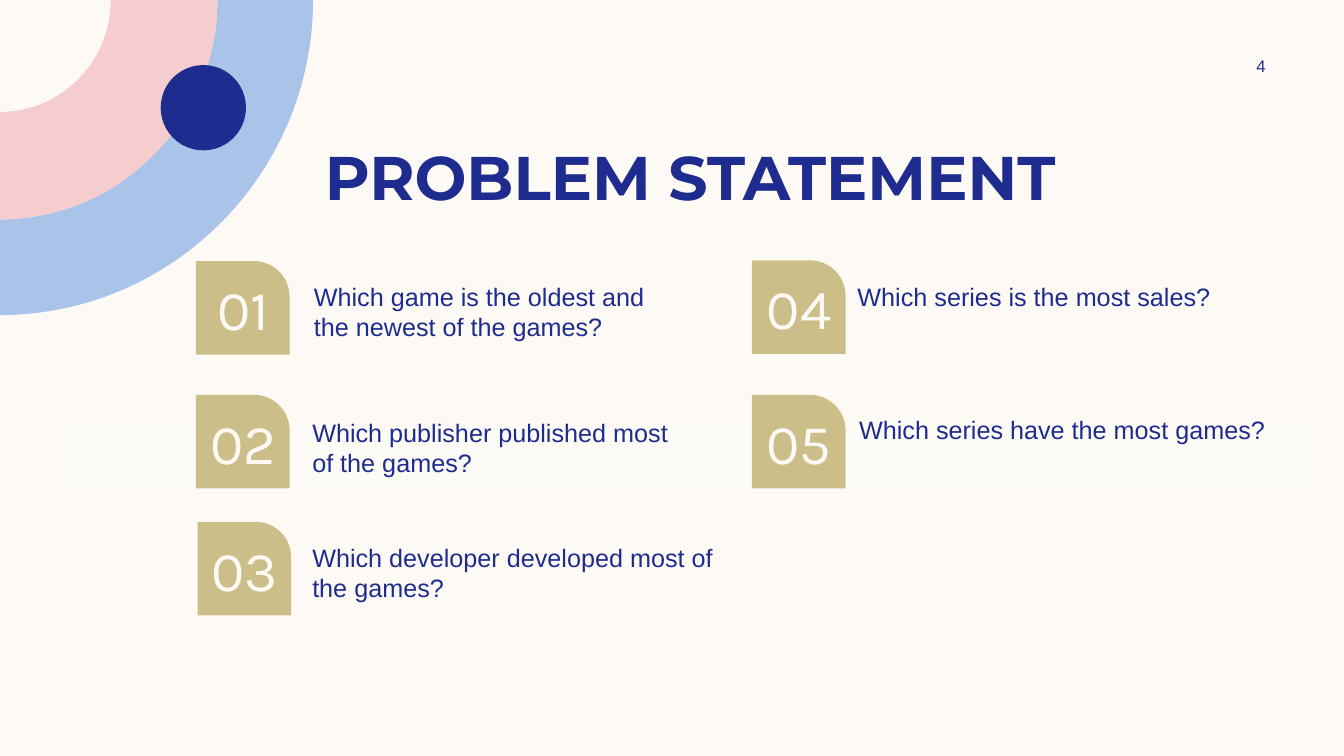
from dataclasses import dataclass

from lxml.etree import SubElement
from pptx import Presentation
from pptx.dml.color import RGBColor as Rgb
from pptx.enum.shapes import MSO_SHAPE as Kind
from pptx.enum.text import MSO_ANCHOR as Anchor, PP_ALIGN as Align
from pptx.oxml.ns import qn
from pptx.util import Cm, Pt


@dataclass(frozen=True)
class Theme:
    cream: str = "FDFAF6"
    band: str = "FCFBF6"
    navy: str = "1F2C8F"
    blue: str = "AAC3E8"
    pink: str = "F5CDCE"
    gold: str = "CCBE89"
    head: tuple = ("Montserrat", 44)
    mark: tuple = ("Karla", 40)
    body: tuple = ("Arial", 18)
    page: tuple = ("Arial", 12)


theme = Theme()
SIDE = 2.36  # badge edge, cm
BEND = 0.55  # handle length of a quarter circle, as a share of its radius

# number, badge left and top, question offset and width (cm), question
ITEMS = [
    ("01", 4.94, 6.58, 2.72, 0.38, 9.78,
     "Which game is the oldest and the newest of the games?"),
    ("02", 4.94, 9.95, 2.68, 0.43, 9.78,
     "Which publisher published most of the games?"),
    ("03", 4.98, 13.15, 2.64, 0.39, 10.85,
     "Which developer developed most of the games?"),
    ("04", 18.95, 6.56, 2.41, 0.41, 10.85,
     "Which series is the most sales?"),
    ("05", 18.95, 9.95, 2.45, 0.37, 10.85,
     "Which series have the most games?"),
]


def paint(shape, color):
    shape.shadow.inherit = False
    shape.fill.solid()
    shape.fill.fore_color.rgb = Rgb.from_string(color)
    shape.line.fill.background()


def block(slide, kind, box, color):
    shape = slide.shapes.add_shape(kind, *map(Cm, box))
    paint(shape, color)
    return shape


def write(slide, box, text, face, color, align=Align.LEFT,
          anchor=Anchor.TOP, bold=False, inset=None):
    frame = slide.shapes.add_textbox(*map(Cm, box)).text_frame
    frame.word_wrap = True
    frame.vertical_anchor = anchor
    if inset is not None:
        for edge in ("left", "top", "right", "bottom"):
            setattr(frame, f"margin_{edge}", Cm(inset))
    par = frame.paragraphs[0]
    par.alignment = align
    run = par.add_run()
    run.text = text
    name, size = face
    look = {"name": name, "size": Pt(size), "bold": bold}
    for key, value in look.items():
        setattr(run.font, key, value)
    run.font.color.rgb = Rgb.from_string(color)


def bend(line, wide, high, back):
    """Turn a straight side into a quarter ellipse about the corner."""
    spots = [(wide, 0), (wide, BEND * high), (BEND * wide, high), (0, high)]
    if back:
        spots.reverse()
    curve = line.makeelement(qn("a:cubicBezTo"))
    for x, y in spots[1:]:
        SubElement(curve, qn("a:pt"), x=str(Cm(x)), y=str(Cm(y)))
    line.getparent().replace(line, curve)


def ring(slide, outer, inner, color):
    """Quarter ring at the top left corner, or a disc without inner."""
    start = (inner[0], 0) if inner else (0, 0)
    stops = [(outer[0], 0), (0, outer[1])]
    if inner:
        stops += [(0, inner[1]), start]
    pen = slide.shapes.build_freeform(*map(Cm, start))
    pen.add_line_segments([(Cm(x), Cm(y)) for x, y in stops])
    shape = pen.convert_to_shape()
    sides = list(shape.element.iter(qn("a:lnTo")))
    bend(sides[1], *outer, back=False)
    if inner:
        bend(sides[3], *inner, back=True)
    paint(shape, color)


def corner(slide):
    ring(slide, (7.89, 7.94), (5.48, 5.53), theme.blue)
    ring(slide, (5.48, 5.53), None, theme.pink)
    ring(slide, (2.79, 2.82), None, theme.cream)
    block(slide, Kind.OVAL, (4.05, 1.64, 2.15, 2.15), theme.navy)


def header(slide, left, top, width, height):
    write(slide, (left, top, width, height), "PROBLEM STATEMENT",
          theme.head, theme.navy, Align.CENTER, bold=True)


def item(slide, mark, left, top, across, down, width, text):
    badge = block(slide, Kind.ROUND_1_RECTANGLE,
                  (left, top, SIDE, SIDE), theme.gold)
    badge.adjustments[0] = 0.38
    write(slide, (left + 0.31, top, SIDE - 0.6, SIDE), mark, theme.mark,
          theme.cream, Align.CENTER, Anchor.MIDDLE, inset=0)
    write(slide, (left + across, top + down, width, 2.13), text,
          theme.body, theme.navy)


def main():
    deck = Presentation()
    deck.slide_width, deck.slide_height = Cm(33.87), Cm(19.05)
    slide = deck.slides.add_slide(deck.slide_layouts[6])
    slide.background.fill.solid()
    slide.background.fill.fore_color.rgb = Rgb.from_string(theme.cream)
    corner(slide)
    write(slide, (30.41, 1.27, 2.74, 0.76), "4", theme.page, theme.navy,
          Align.CENTER, Anchor.MIDDLE)
    block(slide, Kind.RECTANGLE, (1.73, 10.74, 31.42, 1.6), theme.band)
    header(slide, 2.58, 3.38, 29.64, 2.13)
    for entry in ITEMS:
        item(slide, *entry)
    deck.save("out.pptx")


if __name__ == "__main__":
    main()
